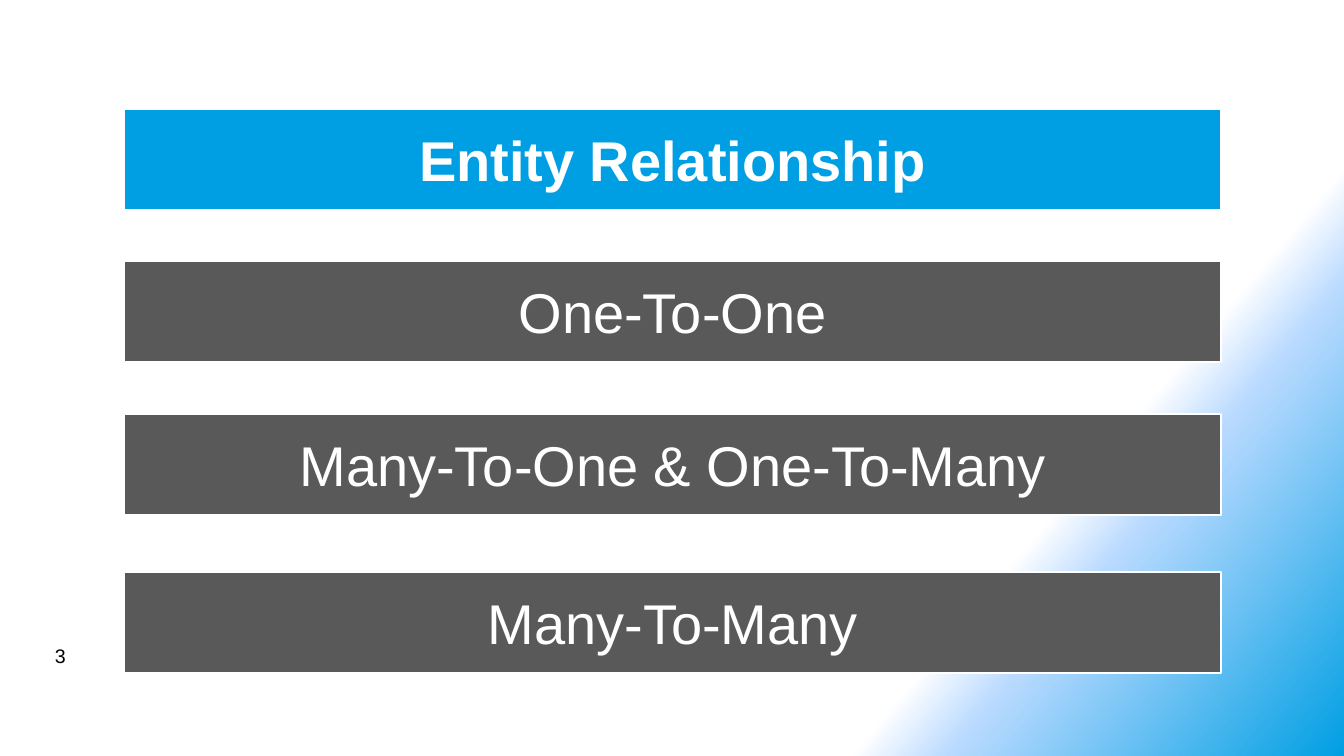
from lxml import etree
from pptx import Presentation
from pptx.dml.color import RGBColor
from pptx.enum.shapes import MSO_SHAPE
from pptx.enum.text import MSO_ANCHOR, MSO_AUTO_SIZE, PP_ALIGN
from pptx.oxml.ns import qn
from pptx.util import Emu, Pt

TITLE = ("Entity Relationship", 109)
RELATIONSHIPS = [
    ("One-To-One", 261),
    ("Many-To-One & One-To-Many", 414),
    ("Many-To-Many", 572),
]
PAGE_NUMBER = "3"
# position in percent, colour, opacity in percent
BACKGROUND_STOPS = [(75, "FFFFFF", 100), (80, "B9DAFF", 50), (100, "009FE3", 100)]
BACKGROUND_ANGLE = 40

BLUE = RGBColor(0x00, 0x9F, 0xE3)
GREY = RGBColor(0x59, 0x59, 0x59)
WHITE = RGBColor(0xFF, 0xFF, 0xFF)
BLACK = RGBColor(0x00, 0x00, 0x00)
FONT = "Arial"
RECTANGLE = MSO_SHAPE.RECTANGLE
MIDDLE, TOP = MSO_ANCHOR.MIDDLE, MSO_ANCHOR.TOP
CENTER, LEFT = PP_ALIGN.CENTER, PP_ALIGN.LEFT
NO_FIT = MSO_AUTO_SIZE.NONE

SLIDE_WIDTH, SLIDE_HEIGHT = 1344, 756
BAR_LEFT, BAR_WIDTH, BAR_HEIGHT = 124, 1097, 101
NUMBER_BOX = (45, 639, 313, 33)


def px(length):
    return Emu(round(length * 914400 / 100.8))


def paint_background(slide):
    """Give the slide a linear gradient with the listed stops."""
    fill = slide.background.fill
    fill.gradient()
    gradient = slide.background._cSld.find(".//" + qn("a:gradFill"))
    stops = gradient.find(qn("a:gsLst"))
    for stop in list(stops):
        stops.remove(stop)
    for position, colour, opacity in BACKGROUND_STOPS:
        stop = etree.SubElement(stops, qn("a:gs"), pos=str(position * 1000))
        tint = etree.SubElement(stop, qn("a:srgbClr"), val=colour)
        if opacity < 100:
            etree.SubElement(tint, qn("a:alpha"), val=str(opacity * 1000))
    linear = gradient.find(qn("a:lin"))
    linear.set("ang", str(BACKGROUND_ANGLE * 60000))
    linear.set("scaled", "0")


def write_text(shape, text, size, colour, alignment, anchor, bold=False):
    frame = shape.text_frame
    frame.word_wrap = True
    frame.auto_size = NO_FIT
    frame.vertical_anchor = anchor
    paragraph = frame.paragraphs[0]
    paragraph.alignment = alignment
    run = paragraph.add_run()
    run.text = text
    run.font.name = FONT
    run.font.size = Pt(size)
    run.font.bold = bold
    run.font.color.rgb = colour


def style_bar(shape, text, fill_colour, bold=False):
    shape.fill.solid()
    shape.fill.fore_color.rgb = fill_colour
    shape.line.color.rgb = WHITE
    shape.line.width = Pt(1)
    write_text(shape, text, 40, WHITE, CENTER, MIDDLE, bold)


def main():
    presentation = Presentation()
    presentation.slide_width = px(SLIDE_WIDTH)
    presentation.slide_height = px(SLIDE_HEIGHT)
    slide = presentation.slides.add_slide(presentation.slide_layouts[5])
    paint_background(slide)

    title_text, title_top = TITLE
    title = slide.shapes.title
    title.left, title.top = px(BAR_LEFT), px(title_top)
    title.width, title.height = px(BAR_WIDTH), px(BAR_HEIGHT)
    style_bar(title, title_text, BLUE, bold=True)

    for text, top in RELATIONSHIPS:
        bar = slide.shapes.add_shape(
            RECTANGLE, px(BAR_LEFT), px(top), px(BAR_WIDTH), px(BAR_HEIGHT))
        bar.shadow.inherit = False
        style_bar(bar, text, GREY)

    number = slide.shapes.add_textbox(*map(px, NUMBER_BOX))
    write_text(number, PAGE_NUMBER, 14, BLACK, LEFT, TOP)

    presentation.save("out.pptx")


if __name__ == "__main__":
    main()
